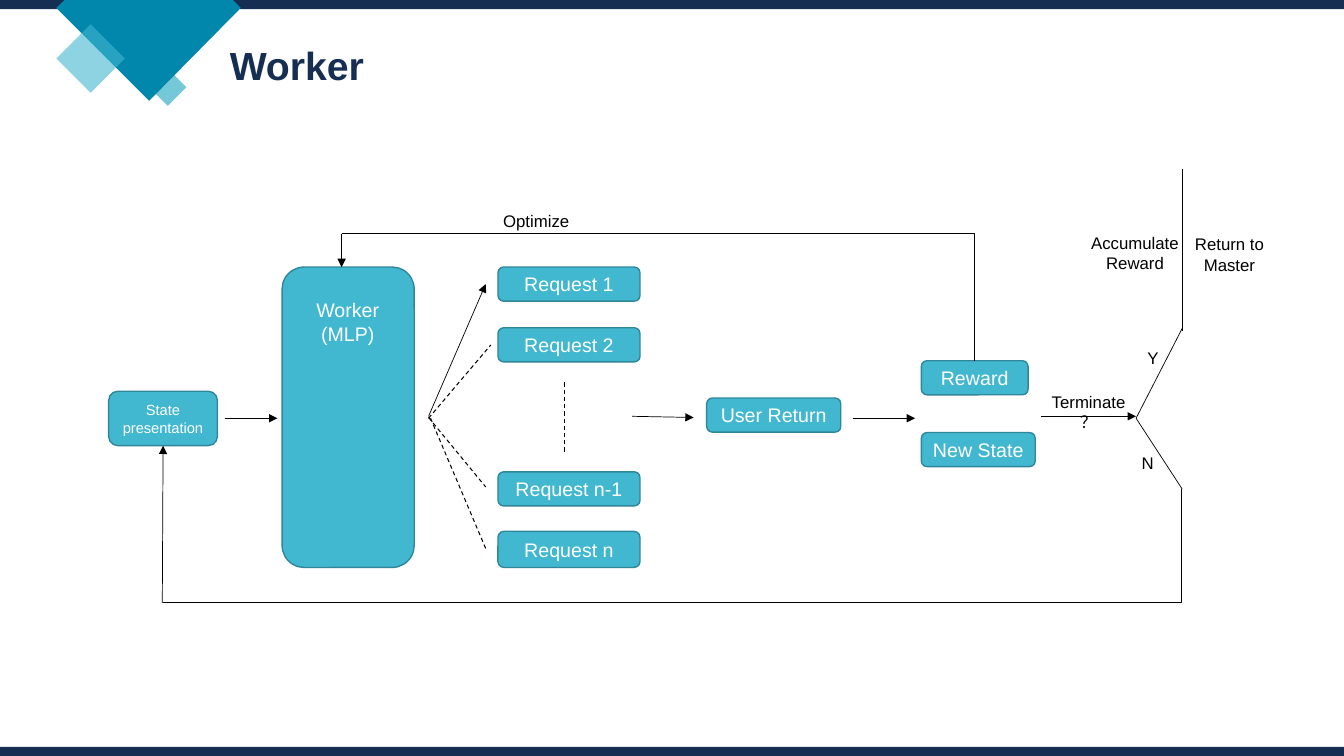
from lxml.etree import SubElement
from pptx import Presentation
from pptx.dml.color import RGBColor
from pptx.enum.dml import MSO_LINE_DASH_STYLE as Dash
from pptx.enum.shapes import MSO_AUTO_SHAPE_TYPE as Preset, MSO_CONNECTOR_TYPE as Link
from pptx.enum.text import MSO_ANCHOR as Anchor, MSO_AUTO_SIZE as AutoSize, PP_ALIGN as Align
from pptx.oxml.ns import qn
from pptx.util import Cm, Pt

NAVY, TEAL, CYAN, EDGE = "152E52", "0187AC", "41B7D0", "30879A"
WHITE, BLACK = "FFFFFF", "000000"


def paint(shape, fill, edge=None, opacity=None):
    shape.shadow.inherit = False
    shape.fill.solid()
    shape.fill.fore_color.rgb = RGBColor.from_string(fill)
    if edge:
        shape.line.color.rgb = RGBColor.from_string(edge)
        shape.line.width = Pt(1)
    else:
        shape.line.fill.background()
    if opacity:
        tint = shape.fill._xPr.find(qn("a:solidFill"))[0]
        SubElement(tint, qn("a:alpha"), val=str(opacity * 1000))


def write(shape, text, size, color, anchor=Anchor.MIDDLE, align=Align.CENTER, bold=False):
    frame = shape.text_frame
    frame.text = text
    frame_format = {"word_wrap": True, "auto_size": AutoSize.NONE, "vertical_anchor": anchor,
                    "margin_left": Cm(0.25), "margin_right": Cm(0.25),
                    "margin_top": Cm(0.13), "margin_bottom": Cm(0.13)}
    for key, value in frame_format.items():
        setattr(frame, key, value)
    for paragraph in frame.paragraphs:
        paragraph.alignment = align
        for key, value in {"name": "Arial", "size": Pt(size), "bold": bold}.items():
            setattr(paragraph.font, key, value)
        paragraph.font.color.rgb = RGBColor.from_string(color)


deck = Presentation()
deck.slide_width, deck.slide_height = Cm(33.87), Cm(19.05)
slide = deck.slides.add_slide(deck.slide_layouts[5])
shapes = slide.shapes

small_diamond = shapes.add_shape(Preset.DIAMOND, Cm(3.76), Cm(1.73), Cm(0.94), Cm(0.94))
paint(small_diamond, "1AA4BE", opacity=60)
for bar_top in (0, 18.82):
    bar = shapes.add_shape(Preset.RECTANGLE, 0, Cm(bar_top), deck.slide_width, Cm(0.23))
    paint(bar, NAVY)

corners = [(5.87, 0), (6.07, 0.2), (3.76, 2.54), (1.42, 0.2)]
outline = shapes.build_freeform(Cm(1.63), 0)
outline.add_line_segments([(Cm(x), Cm(y)) for x, y in corners], close=True)
paint(outline.convert_to_shape(), TEAL)
large_diamond = shapes.add_shape(Preset.DIAMOND, Cm(1.42), Cm(0.61), Cm(1.73), Cm(1.73))
paint(large_diamond, CYAN, opacity=60)

heading = shapes.title
place = {"left": Cm(5.54), "top": Cm(0.74), "width": Cm(23.32), "height": Cm(1.5)}
for key, value in place.items():
    setattr(heading, key, value)
write(heading, "Worker", 28, NAVY, Anchor.TOP, Align.LEFT, True)
heading.text_frame.paragraphs[0].line_spacing = 1.14

stages = [
    ("State presentation", 2.74, 9.86, 2.74, 1.37, 10.5),
    ("", 7.11, 6.73, 3.33, 7.57, 14),
    ("Request 1", 12.55, 6.73, 3.58, 0.86, 14),
    ("Request 2", 12.55, 8.26, 3.58, 0.86, 14),
    ("Request n-1", 12.55, 11.89, 3.58, 0.86, 14),
    ("Request n", 12.55, 13.39, 3.58, 0.91, 14),
    ("User Return", 17.81, 10.03, 3.38, 0.86, 14),
    ("Reward", 23.22, 9.09, 2.69, 0.86, 14),
    ("New State", 23.22, 10.9, 2.87, 0.86, 14),
]
stage_shapes = {}
for name, left, top, width, height, size in stages:
    stage = shapes.add_shape(Preset.ROUNDED_RECTANGLE, Cm(left), Cm(top), Cm(width), Cm(height))
    paint(stage, CYAN, EDGE)
    if name:
        write(stage, name, size, WHITE)
    stage_shapes[name] = stage

ARROW, DASHED, PLAIN = "arrow", "dashed", "plain"
CORNER, RETURN = "bentConnector2", "bentConnector3"
flows = [
    (5.66, 10.54, 6.99, 10.54, ARROW),
    (10.8, 10.49, 12.24, 7.16, ARROW),
    (10.8, 10.54, 12.37, 8.69, DASHED),
    (14.22, 11.38, 14.22, 9.6, DASHED),
    (10.8, 10.52, 12.24, 12.27, DASHED),
    (10.85, 10.54, 12.24, 13.82, DASHED),
    (15.93, 10.49, 17.48, 10.52, ARROW),
    (21.49, 10.54, 23.06, 10.54, ARROW),
    (26.24, 10.49, 28.63, 10.49, ARROW),
    (8.61, 5.87, 24.56, 9.09, CORNER),
    (8.61, 5.89, 8.61, 6.73, ARROW),
    (28.63, 10.54, 29.79, 12.32, PLAIN),
    (28.63, 10.54, 29.79, 8.28, PLAIN),
    (29.79, 8.33, 29.79, 4.27, PLAIN),
    (29.79, 12.32, 4.11, 15.19, RETURN),
    (4.09, 15.19, 4.11, 11.23, ARROW),
]
for x1, y1, x2, y2, style in flows:
    link = Link.ELBOW if style in (CORNER, RETURN) else Link.STRAIGHT
    flow = shapes.add_connector(link, Cm(x1), Cm(y1), Cm(x2), Cm(y2))
    flow.line.color.rgb = RGBColor.from_string(BLACK)
    flow.line.width = Pt(0.75 if style == DASHED else 0.5)
    properties = flow._element.spPr
    if style == DASHED:
        flow.line.dash_style = Dash.DASH
    elif style == ARROW:
        SubElement(properties.find(qn("a:ln")), qn("a:tailEnd"), type="triangle")
    elif style in (CORNER, RETURN):
        bend = properties.find(qn("a:prstGeom"))
        bend.set("prst", style)
        if style == RETURN:
            SubElement(bend.find(qn("a:avLst")), qn("a:gd"), name="adj1", fmla="val 100")
    SubElement(properties, qn("a:effectLst"))
flow.end_connect(stage_shapes["State presentation"], 2)

labels = [
    ("Worker\n(MLP)", 7.62, 7.39, 2.29, 1.45, 14, WHITE),
    ("Optimize", 12.37, 5.18, 2.29, 0.76, 12, BLACK),
    ("Terminate？", 26.09, 9.73, 2.69, 0.76, 12, BLACK),
    ("N", 28.47, 11.28, 0.91, 0.76, 12, BLACK),
    ("Y", 28.6, 8.64, 0.91, 0.76, 12, BLACK),
    ("Accumulate\nReward", 27.13, 5.74, 2.95, 1.27, 12, BLACK),
    ("Return to\nMaster", 29.51, 5.77, 2.95, 1.27, 12, BLACK),
]
for text, left, top, width, height, size, color in labels:
    label = shapes.add_textbox(Cm(left), Cm(top), Cm(width), Cm(height))
    write(label, text, size, color, Anchor.TOP)

deck.save("out.pptx")
